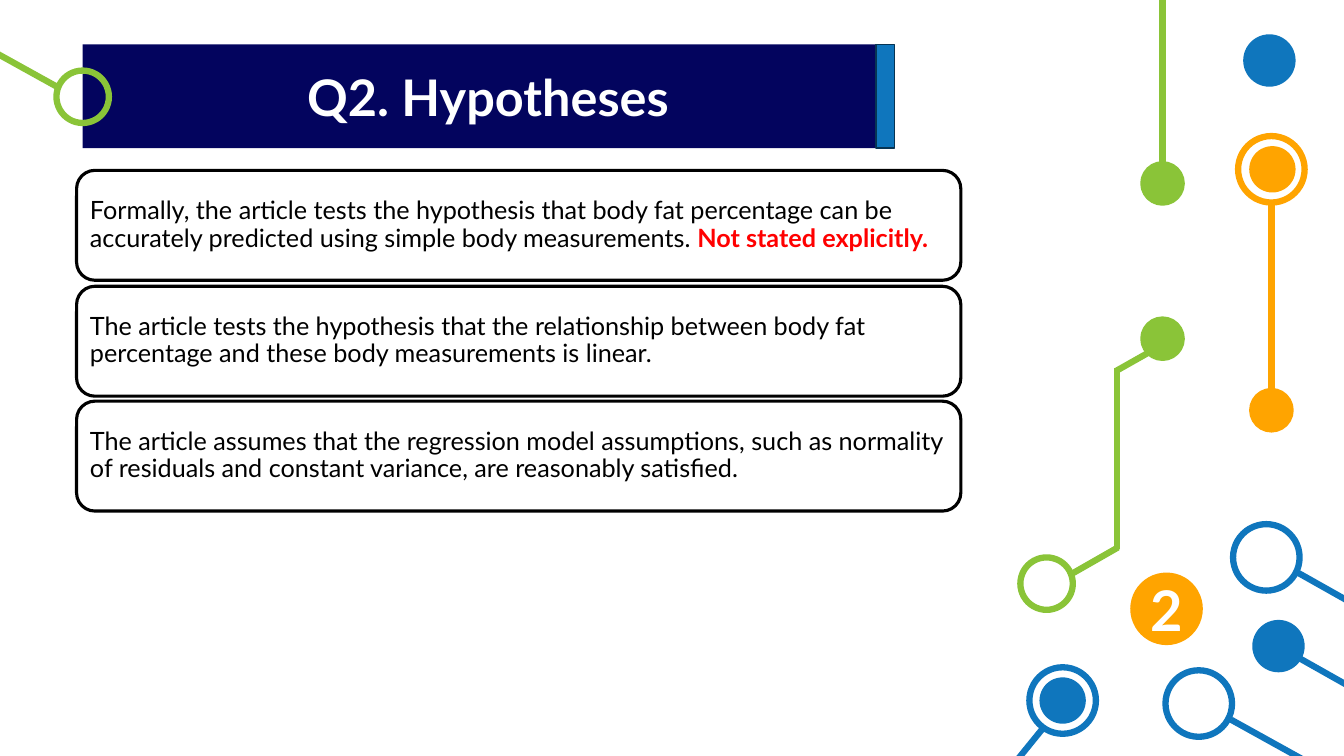
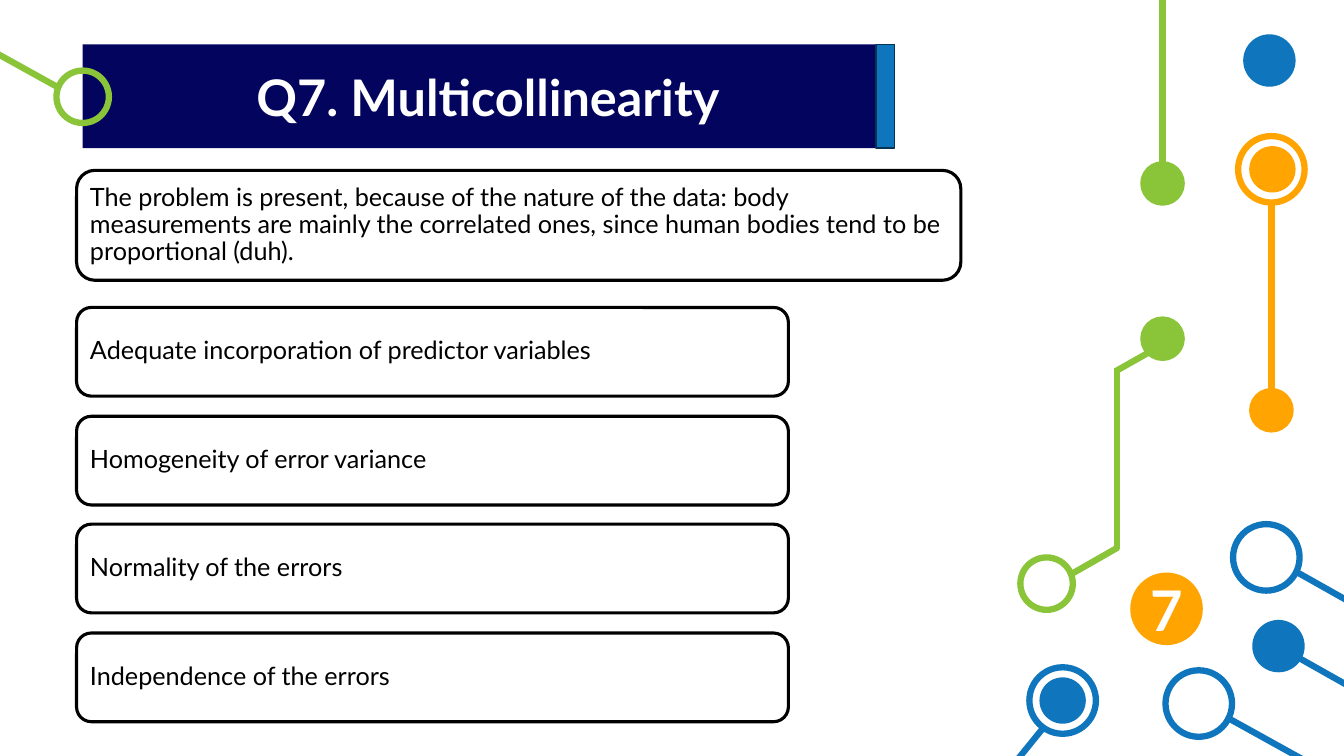
from lxml import etree
from pptx import Presentation
from pptx import util as u
from pptx.dml.color import RGBColor
from pptx.enum import shapes, text
from pptx.oxml import ns

PX = 9144  # 100 px to the inch
FONT = "Lato"
COLORS = {
    "navy": "03045E", "blue": "0F76BD", "edge": "073453", "orange": "FFA400",
    "green": "8AC438", "white": "FFFFFF", "black": "000000", "red": "FF0000",
}
RECT = shapes.MSO_SHAPE.RECTANGLE
ROUND = shapes.MSO_SHAPE.ROUNDED_RECTANGLE
OVAL = shapes.MSO_SHAPE.OVAL
LEFT, CENTER = text.PP_ALIGN.LEFT, text.PP_ALIGN.CENTER

# Circuit lines: x1, y1, x2, y2, colour
LINES = [
    (-5, 52, 60, 88, "green"),
    (1153, 163, 1153, -5, "green"),
    (1107, 368, 1153, 342, "green"),
    (1108, 545, 1108, 365, "green"),
    (1109, 543, 1060, 571, "green"),
    (1295, 755, 1221, 714, "blue"),
    (1342, 683, 1287, 652, "blue"),
    (1342, 599, 1287, 568, "blue"),
    (1261, 388, 1261, 200, "orange"),
    (1008, 755, 1034, 723, "blue"),
]
# Circuit nodes: left, top, diameter, fill, outline
NODES = [
    (56, 70, 52, None, "green"),
    (1134, 163, 38, "green", "green"),
    (1134, 317, 38, "green", "green"),
    (1012, 553, 52, None, "green"),
    (1156, 665, 66, "white", "blue"),
    (1242, 615, 52, "blue", None),
    (1223, 520, 66, "white", "blue"),
    (1242, 388, 38, "orange", "orange"),
    (1228, 135, 66, None, "orange"),
    (1021, 662, 66, "white", "blue"),
    (1233, 34, 52, "blue", None),
    (1239, 145, 46, "orange", None),
    (1031, 672, 46, "blue", None),
]

# Slides: title, number, then boxes as (top, width, height, [(words, colour)])
SLIDES = [
    ("Q2. Hypotheses", "2", [
        (169, 877, 109, [
            ("Formally, the article tests the hypothesis that body fat percentage can be "
             "accurately predicted using simple body measurements. ", "black"),
            ("Not stated explicitly.", "red")]),
        (284, 877, 109, [
            ("The article tests the hypothesis that the relationship between body fat "
             "percentage and these body measurements is linear.", "black")]),
        (398, 877, 109, [
            ("The article assumes that the regression model assumptions, such as normality "
             "of residuals and constant variance, are reasonably satisfied.", "black")]),
    ]),
    ("Q7. Multicollinearity", "7", [
        (169, 877, 109, [
            ("The problem is present, because of the nature of the data: body measurements "
             "are mainly the correlated ones, since human bodies tend to be proportional "
             "(duh).", "black")]),
    ] + [
        (305 + round(107.7 * i), 706, 88, [(words, "black")])
        for i, words in enumerate([
            "Adequate incorporation of predictor variables",
            "Homogeneity of error variance",
            "Normality of the errors",
            "Independence of the errors"])
    ]),
]


def draw(s, kind, x, y, w, h, fill, line=None, weight=4.5):
    sp = s.shapes.add_shape(kind, x * PX, y * PX, w * PX, h * PX)
    sp.shadow.inherit = False
    if fill:
        sp.fill.solid()
        sp.fill.fore_color.rgb = RGBColor.from_string(COLORS[fill])
    else:
        sp.fill.background()
    if line:
        sp.line.color.rgb = RGBColor.from_string(COLORS[line])
        sp.line.width = u.Pt(weight)
    else:
        sp.line.fill.background()
    return sp


def write(sp, parts, size, align, inset, bold=False):
    tf = sp.text_frame
    tf.word_wrap = True
    tf.vertical_anchor = text.MSO_ANCHOR.MIDDLE
    tf.margin_left = tf.margin_right = tf.margin_top = tf.margin_bottom = inset * PX
    p = tf.paragraphs[0]
    p.alignment = align
    for words, color in parts:
        r = p.add_run()
        r.text = words
        r.font.name = FONT
        r.font.size = u.Pt(size)
        r.font.bold = bold or color == "red"
        r.font.color.rgb = RGBColor.from_string(COLORS[color])
    return p


prs = Presentation()
prs.slide_width, prs.slide_height = 1333 * PX, 750 * PX

for title, number, boxes in SLIDES:
    s = prs.slides.add_slide(prs.slide_layouts[6])

    # Title band with its accent
    sp = draw(s, RECT, 82, 44, 804, 103, "navy")
    write(sp, [(title, "white")], 36, CENTER, 5, bold=True)
    draw(s, RECT, 869, 44, 18, 103, "blue", "edge", 1)

    # Circuit decoration
    for x1, y1, x2, y2, color in LINES:
        ln = s.shapes.add_connector(shapes.MSO_CONNECTOR.STRAIGHT,
                                    x1 * PX, y1 * PX, x2 * PX, y2 * PX)
        ln.line.color.rgb = RGBColor.from_string(COLORS[color])
        ln.line.width = u.Pt(4.5)
        etree.SubElement(ln._element.spPr, ns.qn("a:effectLst"))
    for x, y, d, fill, line in NODES:
        draw(s, OVAL, x, y, d, d, fill, line)

    # Slide number
    sp = draw(s, OVAL, 1121, 568, 72, 72, "orange")
    write(sp, [(number, "white")], 40, CENTER, 0, bold=True)

    # Statement boxes; the rounded corners already inset the text a little
    for top, width, height, parts in boxes:
        sp = draw(s, ROUND, 76, top, width, height, "white", "black", 2.25)
        p = write(sp, parts, 18, LEFT, round(13 - 0.29 * height / 6))
        p.line_spacing = 0.9

prs.save("out.pptx")
